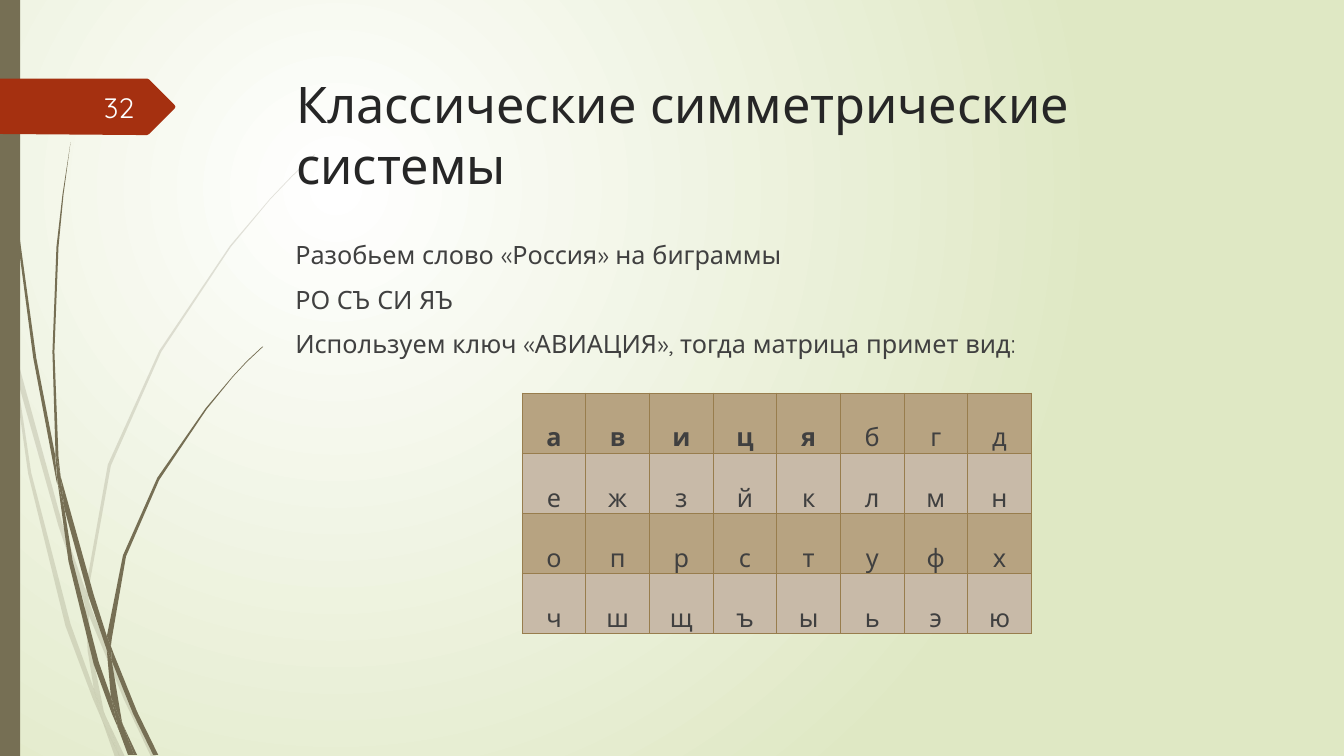
from lxml.etree import SubElement
from pptx import Presentation
from pptx.dml.color import RGBColor
from pptx.enum.shapes import MSO_SHAPE
from pptx.enum.text import MSO_ANCHOR, PP_ALIGN
from pptx.oxml.ns import qn
from pptx.util import Inches, Pt

WHITE = RGBColor(0xFE, 0xFF, 0xFF)
GLOW = RGBColor(0xFF, 0xFF, 0xFF)
LIME = RGBColor(0xDF, 0xE8, 0xC4)
OLIVE = RGBColor(0x76, 0x6F, 0x54)
RUST = RGBColor(0xA5, 0x30, 0x10)
INK = RGBColor(0x26, 0x26, 0x26)
GREY = RGBColor(0x40, 0x40, 0x40)
EDGE = RGBColor(0x98, 0x7D, 0x4D)
BANDS = RGBColor(0xB7, 0xA3, 0x81), RGBColor(0xC8, 0xBA, 0xA8)

PALE = (
    "0.11 3.5 0.09 3.22 0 2.82 0 2.99 0.1 3.44",
    "0.58 5.22 0.84 5.99 0.85 5.86 0.62 5.2 0.14 3.45 0.17 3.76",
    "0.92 6.07 0.88 5.96 0.88 6.1 1.23 6.94 1.5 7.51 1.55 7.51 1.27 6.92",
    "1.19 7.51 1.24 7.51 1.05 7.11",
    "0.93 6.83 0.7 6.19 0.31 4.69 0.17 3.76 0.11 3.5 0.28 4.7 0.65 6.21 "
    "0.92 6.93 1.01 7.14 0.99 7.07",
    "0.84 5.99 0.87 6.46 0.93 6.83 0.96 6.92 1.05 7.11 1.03 7.06 0.91 6.46 "
    "0.88 6.1 0.88 6.08",
    "0.88 5.84 1.1 4.62 1.6 3.49 2.29 2.45 2.68 1.98 2.9 1.75 3.12 1.54 "
    "3.12 1.53 2.89 1.75 2.68 1.97 2.28 2.44 1.58 3.48 1.07 4.61 0.85 5.84 "
    "0.85 5.86 0.88 5.96",
    "1.01 7.14 1.14 7.51 1.19 7.51",
    "0.88 6.08 0.88 6.1 0.88 5.96 0.85 5.86 0.84 5.99",
    "0.96 6.92 0.93 6.83 0.99 7.07 1.01 7.14 1.19 7.51 1.05 7.11",
)
DARK = (
    "0.07 1.1 0.17 2.33 0.33 3.55 0.56 4.77 0.57 4.81 0.55 4.57 0.55 4.53 "
    "0.36 3.55 0.19 2.32 0.08 1.09 0.05 0.48 0.04 0 0.03 0 0.04 0.48",
    "0.88 5.92 1.06 6.45 1.06 6.33 1.06 6.31 0.93 5.9 0.6 4.72 0.64 5.05",
    "1.13 6.49 1.1 6.41 1.11 6.56 1.32 7.08 1.52 7.49 1.57 7.49 1.36 7.06",
    "1.1 6.91 0.98 6.57 0.72 5.56 0.64 5.05 0.57 4.77 0.68 5.57 0.93 6.59 "
    "1.11 7.08 1.17 7.22 1.16 7.17",
    "0.6 4.72 0.58 4.53 0.54 3.49 0.58 2.45 0.63 1.93 0.7 1.41 0.62 1.93 "
    "0.56 2.45 0.52 3.49 0.55 4.49",
    "1.33 7.49 1.36 7.49 1.22 7.19",
    "0.57 4.77 0.64 5.05 0.6 4.72 0.55 4.49 0.55 4.53",
    "1.11 6.33 1.25 5.52 1.58 4.76 2.05 4.06 2.31 3.74 2.45 3.59 2.61 3.44 "
    "2.6 3.44 2.45 3.58 2.31 3.73 2.04 4.05 1.56 4.74 1.22 5.51 1.06 6.31 "
    "1.1 6.41",
    "1.17 7.22 1.27 7.49 1.31 7.49",
    "1.06 6.45 1.1 6.91 1.16 7.06 1.22 7.19 1.21 7.16 1.11 6.56 1.09 6.51",
    "1.06 6.45 1.09 6.51 1.11 6.56 1.1 6.41 1.06 6.31 1.06 6.33",
    "1.16 7.06 1.1 6.91 1.16 7.17 1.17 7.22 1.3 7.49 1.33 7.49 1.22 7.19",
)
BADGE = ("1.73 1.08 1.48 1.33 1.46 1.34 1.36 1.34 0 1.33 0 0.78 "
         "1.46 0.78 1.48 0.79 1.73 1.04 1.74 1.06")
ROWS = "авицябгд", "ежзйклмн", "опрстуфх", "чшщъыьэю"
BOLD = "авиця"


class Deck:
    """Holds the style and the current slide, and draws each kind of element."""

    font = "Quicksand"

    def __init__(self):
        self.prs = Presentation()
        self.style(self.prs, slide_width=Inches(13.33), slide_height=Inches(7.5))
        self.slide = self.prs.slides.add_slide(self.prs.slide_layouts[6])
        self.shapes = self.slide.shapes

    def style(self, item, **fmt):
        for name, value in fmt.items():
            setattr(item, name, value)

    def glow(self, inner, outer):
        fill = self.slide.background.fill
        fill.gradient()
        for stop, tint in zip(fill.gradient_stops, (inner, outer)):
            stop.color.rgb = tint
        grad = self.slide.element.find(".//" + qn("a:gradFill"))
        grad.remove(grad.find(qn("a:lin")))
        ring = SubElement(grad, qn("a:path"), path="circle")
        SubElement(ring, qn("a:fillToRect"), l="50000", t="50000",
                   r="100000", b="100000")

    def paint(self, shape, tint, alpha=100):
        shape.shadow.inherit = False
        shape.line.fill.background()
        shape.fill.solid()
        shape.fill.fore_color.rgb = tint
        if alpha < 100:
            node = shape.element.spPr.find(".//" + qn("a:srgbClr"))
            SubElement(node, qn("a:alpha"), val=str(alpha * 1000))

    def bar(self, box, tint):
        self.paint(self.shapes.add_shape(MSO_SHAPE.RECTANGLE, *map(Inches, box)), tint)

    def blade(self, dots, tint, alpha=100, group=None):
        nums = [Inches(float(num)) for num in dots.split()]
        start, *rest = zip(nums[::2], nums[1::2])
        home = group.shapes if group else self.shapes
        form = home.build_freeform(*start)
        form.add_line_segments(rest, close=True)
        self.paint(form.convert_to_shape(), tint, alpha)

    def tuft(self, blades, tint, alpha=100):
        group = self.shapes.add_group_shape()
        for dots in blades:
            self.blade(dots, tint, alpha, group)

    def fill_in(self, para, text, size, tint, bold=False, **fmt):
        self.style(para, **fmt)
        run = para.add_run()
        run.text = text
        self.style(run.font, name=self.font, size=Pt(size), bold=bold)
        run.font.color.rgb = tint

    def text(self, box, lines, size, tint, anchor=MSO_ANCHOR.TOP, **fmt):
        frame = self.shapes.add_textbox(*map(Inches, box)).text_frame
        self.style(frame, word_wrap=True, vertical_anchor=anchor)
        for pos, line in enumerate(lines):
            para = frame.add_paragraph() if pos else frame.paragraphs[0]
            self.fill_in(para, line, size, tint, **fmt)

    def rule(self, cell, tint):
        props = cell._tc.get_or_add_tcPr()
        for side in "LRTB":
            line = SubElement(props, qn("a:ln" + side), w=str(Pt(0.75)))
            fill = SubElement(line, qn("a:solidFill"))
            SubElement(fill, qn("a:srgbClr"), val=str(tint))

    def grid(self, box, rows, size):
        table = self.shapes.add_table(len(rows), len(rows[0]), *map(Inches, box)).table
        self.style(table, first_row=False, horz_banding=False)
        thin = Inches(0.01)
        for r, row in enumerate(rows):
            for c, mark in enumerate(row):
                cell = table.cell(r, c)
                self.rule(cell, EDGE)
                self.style(cell, vertical_anchor=MSO_ANCHOR.BOTTOM, margin_left=thin,
                           margin_right=thin, margin_top=thin, margin_bottom=0)
                cell.fill.solid()
                cell.fill.fore_color.rgb = BANDS[r % 2]
                self.fill_in(cell.text_frame.paragraphs[0], mark, size, GREY,
                             bold=mark in BOLD, alignment=PP_ALIGN.CENTER)


def main():
    deck = Deck()
    deck.glow(GLOW, LIME)
    deck.tuft(PALE, OLIVE, 20)
    deck.tuft(DARK, OLIVE)
    deck.bar((0, 0, 0.2, 7.5), OLIVE)
    deck.blade(BADGE, RUST)
    deck.text((2.84, 0.68, 9.75, 1.4), ["Классические симметрические системы"], 36, INK)
    deck.text((2.83, 2.33, 9.75, 4.13), [
        "Разобьем слово «Россия» на биграммы",
        "РО СЪ СИ ЯЪ",
        "Используем ключ «АВИАЦИЯ», тогда матрица примет вид:",
    ], 18, GREY, space_before=Pt(10))
    deck.text((0.58, 0.86, 0.85, 0.4), ["32"], 20, WHITE, MSO_ANCHOR.MIDDLE,
              alignment=PP_ALIGN.RIGHT)
    deck.grid((5.18, 3.9, 5.05, 2.39), ROWS, 18)
    deck.prs.save("out.pptx")


if __name__ == "__main__":
    main()
